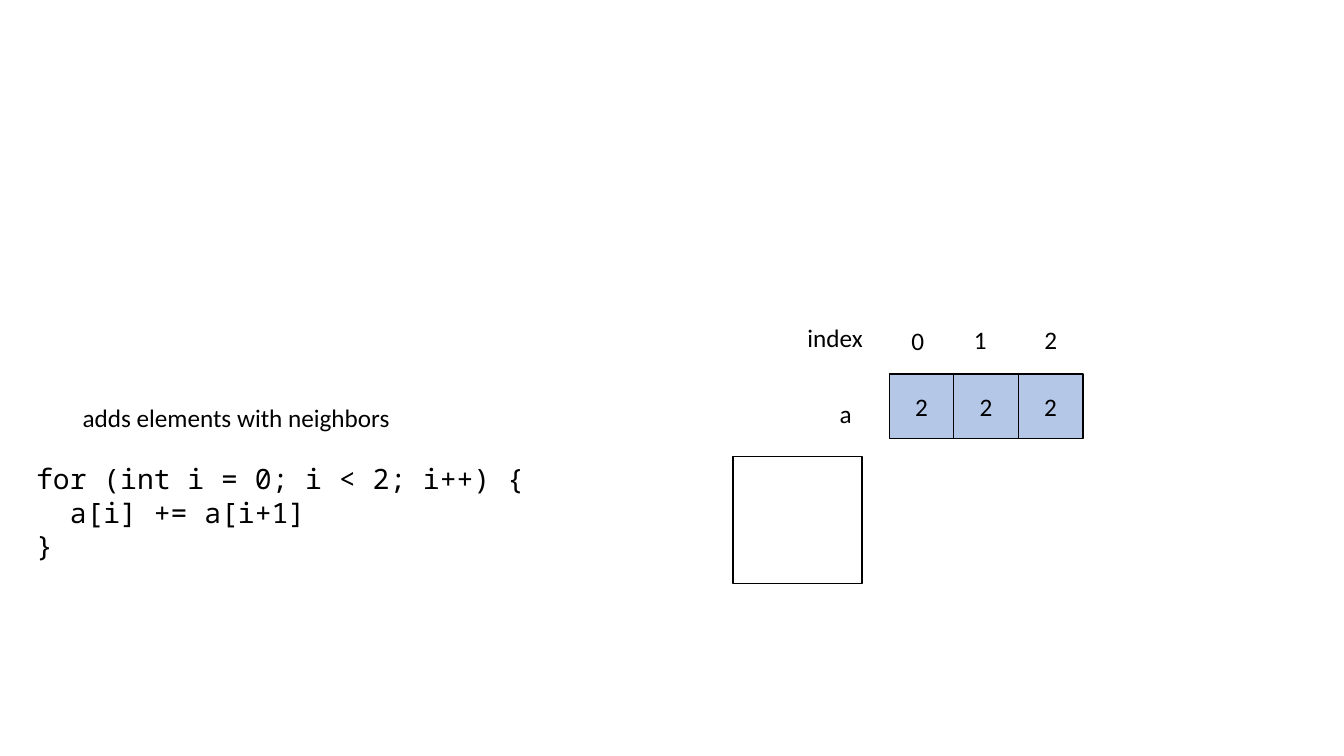
from pptx import Presentation
from pptx.dml.color import RGBColor
from pptx.enum.shapes import MSO_SHAPE
from pptx.enum.text import MSO_ANCHOR, MSO_AUTO_SIZE, PP_ALIGN
from pptx.util import Pt

EMU_PER_PX = 9144  # 100 px to the inch
COLORS = {"ink": "000000", "cell": "B4C7E7"}


def px(*lengths):
    return [length * EMU_PER_PX for length in lengths]


class Board:
    body_font, body_size = "Calibri", 18
    code_font, code_size = "Noto Sans Mono", 20

    def __init__(self, slide):
        self.shapes = slide.shapes

    def color(self, name):
        return RGBColor.from_string(COLORS[name])

    def add_lines(self, frame, lines, font, size, align=PP_ALIGN.LEFT):
        for number, line in enumerate(lines):
            paragraph = frame.add_paragraph() if number else frame.paragraphs[0]
            paragraph.alignment = align
            run = paragraph.add_run()
            run.text = line
            run.font.name = font
            run.font.size = Pt(size)
            run.font.color.rgb = self.color("ink")

    def text(self, lines, at, font=body_font, size=body_size):
        frame = self.shapes.add_textbox(*px(*at)).text_frame
        frame.word_wrap = False
        frame.auto_size = MSO_AUTO_SIZE.SHAPE_TO_FIT_TEXT
        self.add_lines(frame, lines, font, size)

    def code(self, lines, at):
        self.text(lines, at, self.code_font, self.code_size)

    def box(self, at, fill=None, value=None, rotation=0):
        box = self.shapes.add_shape(MSO_SHAPE.RECTANGLE, *px(*at))
        box.rotation = rotation
        box.shadow.inherit = False
        box.line.color.rgb = self.color("ink")
        box.line.width = Pt(1)
        if fill:
            box.fill.solid()
            box.fill.fore_color.rgb = self.color(fill)
        else:
            box.fill.background()
        if value is not None:
            box.text_frame.vertical_anchor = MSO_ANCHOR.MIDDLE
            self.add_lines(box.text_frame, [value], self.body_font,
                           self.body_size, PP_ALIGN.CENTER)


def main():
    deck = Presentation()
    deck.slide_width, deck.slide_height = px(1333, 750)
    board = Board(deck.slides.add_slide(deck.slide_layouts[6]))

    board.code(["for (int i = 0; i < 2; i++) {", "  a[i] += a[i+1]", "}"],
               (26, 453, 508, 111))
    board.text(["adds elements with neighbors"], (72, 394, 329, 40))

    cell = 64
    for position, value in enumerate(["2", "2", "2"]):
        board.box((882 + position * cell, 371, cell, cell), "cell", value)

    board.text(["a"], (823, 390, 32, 40))
    board.text(["index"], (791, 315, 76, 40))
    for index, (left, top) in enumerate([(894, 318), (956, 317), (1026, 317)]):
        board.text([str(index)], (left, top, 33, 40))

    board.box((728, 452, 126, 128), rotation=90)
    deck.save("out.pptx")


if __name__ == "__main__":
    main()
